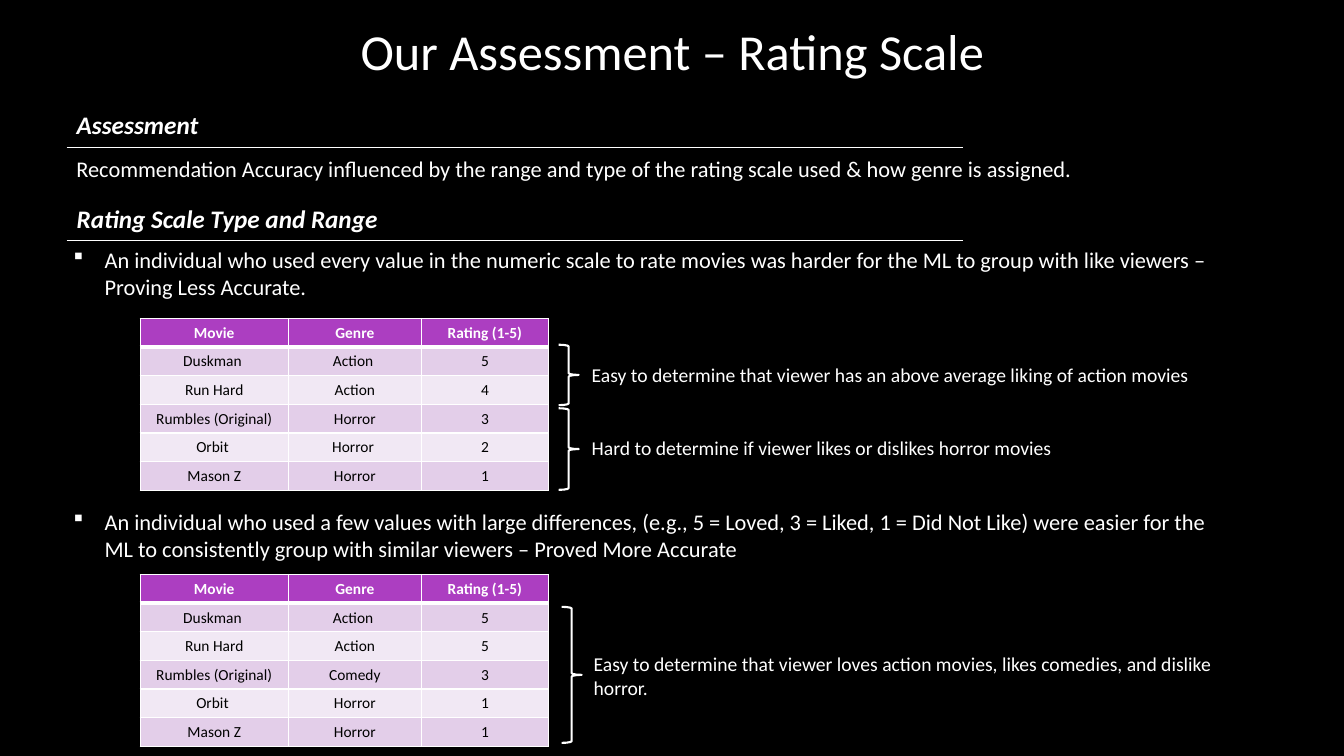
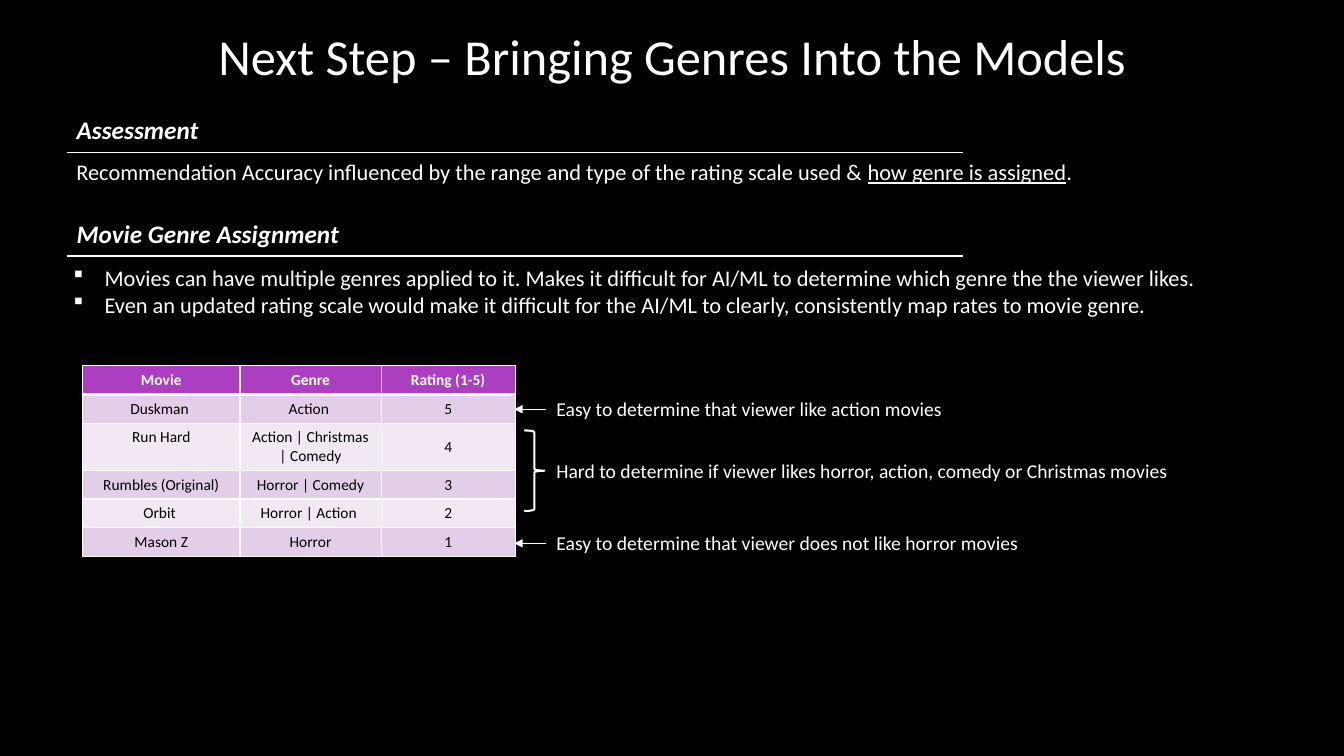
from lxml import etree
from pptx import Presentation
from pptx.dml.color import RGBColor
from pptx.enum.shapes import MSO_CONNECTOR, MSO_SHAPE
from pptx.enum.text import MSO_ANCHOR, PP_ALIGN
from pptx.oxml.ns import qn
from pptx.util import Inches, Pt

BLACK = RGBColor(0x00, 0x00, 0x00)
WHITE = RGBColor(0xFF, 0xFF, 0xFF)
PURPLE = RGBColor(0xAC, 0x3E, 0xC1)
LILAC = RGBColor(0xE3, 0xCE, 0xE9)
PALE_LILAC = RGBColor(0xF1, 0xE8, 0xF4)

FONT = "Calibri"
LEFT, CENTER = PP_ALIGN.LEFT, PP_ALIGN.CENTER
MIDDLE = MSO_ANCHOR.MIDDLE
STRAIGHT, RIGHT_BRACE = MSO_CONNECTOR.STRAIGHT, MSO_SHAPE.RIGHT_BRACE

HEADER = ("Movie", "Genre", "Rating (1-5)")
MOVIES = ("Duskman ", "Run Hard", "Rumbles (Original)", "Orbit ", "Mason Z")
ROW_HEIGHT = 0.28
ACCURACY = "Recommendation Accuracy influenced by the range and type of the rating scale used & "

# Content: positions in inches
SLIDES = [
    {
        "title": ("Our Assessment – Rating Scale", 0.15),
        "headings": [("Assessment", 1.05), ("Rating Scale Type and Range", 1.98)],
        "summary": (1.49, False),
        "bullets": [
            (2.39, ["An individual who used every value in the numeric scale to rate movies was harder "
                    "for the ML to group with like viewers – Proving Less Accurate."]),
            (4.99, ["An individual who used a few values with large differences, (e.g., 5 = Loved, "
                    "3 = Liked, 1 = Did Not Like) were easier for the ML to consistently group with "
                    "similar viewers – Proved More Accurate"]),
        ],
        "tables": [
            (1.39, 3.16, (1.47, 1.32, 1.26), {},
             ("Action ", "Action", "Horror", "Horror ", "Horror"), (5, 4, 3, 2, 1)),
            (1.39, 5.7, (1.47, 1.32, 1.26), {},
             ("Action ", "Action", "Comedy", "Horror", "Horror"), (5, 5, 3, 1, 1)),
        ],
        "braces": [(5.54, 3.42, 0.6), (5.54, 4.05, 0.81), (5.57, 6.02, 1.35)],
        "arrows": [],
        "notes": [
            (5.77, 3.55, 0.34, "Easy to determine that viewer has an above average liking of action movies"),
            (5.77, 4.28, 0.34, "Hard to determine if viewer likes or dislikes horror movies"),
            (5.79, 6.42, 0.57, "Easy to determine that viewer loves action movies, likes comedies, "
                               "and dislike horror."),
        ],
    },
    {
        "title": ("Next Step – Bringing Genres Into the Models", 0.2),
        "headings": [("Assessment", 1.1), ("Movie Genre Assignment", 2.13)],
        "summary": (1.52, True),
        "bullets": [
            (2.57, ["Movies can have multiple genres applied to it. Makes it difficult for AI/ML to "
                    "determine which genre the the viewer likes.",
                    "Even an updated rating scale would make it difficult for the AI/ML to clearly, "
                    "consistently map rates to movie genre."]),
        ],
        "tables": [
            (0.82, 3.63, (1.56, 1.4, 1.33), {2: 0.47},
             ("Action ", "Action | Christmas | Comedy", "Horror | Comedy", "Horror | Action ", "Horror"),
             (5, 4, 3, 2, 1)),
        ],
        "braces": [(5.2, 4.27, 0.8)],
        "arrows": [4.06, 5.39],
        "notes": [
            (5.42, 3.89, 0.34, "Easy to determine that viewer like action movies"),
            (5.42, 4.5, 0.34, "Hard to determine if viewer likes horror, action, comedy or Christmas movies"),
            (5.42, 5.22, 0.34, "Easy to determine that viewer does not like horror movies"),
        ],
    },
]


def add_text(slide, left, top, width, height, lines, size, alignment=LEFT):
    box = slide.shapes.add_textbox(Inches(left), Inches(top), Inches(width), Inches(height))
    box.text_frame.word_wrap = True
    box.text_frame.text = "\n".join(lines)
    for paragraph in box.text_frame.paragraphs:
        paragraph.alignment = alignment
        for run in paragraph.runs:
            run.font.size = Pt(size)
            run.font.name = FONT
            run.font.color.rgb = WHITE
    return box.text_frame.paragraphs


def fill_cell(cell, text, size, color, bold, borders, fill=None):
    """Borders give the widths of the left, right, top and bottom line; 0 is none."""
    cell.text = text
    font = cell.text_frame.paragraphs[0].runs[0].font
    font.name = FONT
    font.size = Pt(size)
    font.bold = bold
    font.color.rgb = color
    # Borders come before the fill in the cell properties
    properties = cell._tc.get_or_add_tcPr()
    for side, width in zip(("lnL", "lnR", "lnT", "lnB"), borders):
        border = etree.SubElement(properties, qn("a:" + side), w=str(Pt(width)))
        if width:
            border_fill = etree.SubElement(border, qn("a:solidFill"))
            etree.SubElement(border_fill, qn("a:srgbClr"), val=str(WHITE))
        else:
            etree.SubElement(border, qn("a:noFill"))
    if fill is None:
        cell.fill.background()
    else:
        cell.fill.solid()
        cell.fill.fore_color.rgb = fill
    return cell.text_frame.paragraphs[0]


presentation = Presentation()
presentation.slide_width = Inches(13.33)
presentation.slide_height = Inches(7.5)
background = presentation.slide_master.background.fill
background.solid()
background.fore_color.rgb = BLACK

for content in SLIDES:
    slide = presentation.slides.add_slide(presentation.slide_layouts[6])

    # Title
    title, top = content["title"]
    add_text(slide, 0.98, top, 11.38, 0.71, [title], 36, CENTER)

    # Section headings: one-cell tables with a bottom rule
    for heading, top in content["headings"]:
        table = slide.shapes.add_table(
            1, 1, Inches(0.66), Inches(top), Inches(8.89), Inches(0.41)).table
        table.first_row = False
        table.horz_banding = False
        paragraph = fill_cell(table.cell(0, 0), heading, 18, WHITE, True, (0, 0, 0, 1))
        paragraph.runs[0].font.italic = True

    # Summary sentence
    top, underlined = content["summary"]
    paragraph = add_text(slide, 0.66, top, 10.14, 0.64, [ACCURACY], 16)[0]
    for text, underline in (("how genre is assigned", underlined), (".", False)):
        run = paragraph.add_run()
        run.text = text
        run.font.size = Pt(16)
        run.font.name = FONT
        run.font.color.rgb = WHITE
        run.font.underline = underline

    # Bulleted findings
    for top, lines in content["bullets"]:
        for paragraph in add_text(slide, 0.63, top, 11.47, 0.64, lines, 16):
            properties = paragraph._p.get_or_add_pPr()
            properties.set("marL", str(Inches(0.31)))
            properties.set("indent", str(-Inches(0.31)))
            etree.SubElement(properties, qn("a:buFont"), typeface="Wingdings")
            etree.SubElement(properties, qn("a:buChar"), char="§")

    # Rating tables
    for left, top, column_widths, tall_rows, genres, ratings in content["tables"]:
        rows = [HEADER, *zip(MOVIES, genres, ratings)]
        heights = [tall_rows.get(index, ROW_HEIGHT) for index in range(len(rows))]
        table = slide.shapes.add_table(
            len(rows), len(HEADER), Inches(left), Inches(top),
            Inches(sum(column_widths)), Inches(sum(heights))).table
        for column, width in zip(table.columns, column_widths):
            column.width = Inches(width)
        for row_index, values in enumerate(rows):
            table.rows[row_index].height = Inches(heights[row_index])
            is_header = row_index == 0
            band = LILAC if row_index % 2 else PALE_LILAC
            borders = (1, 1, 3 if row_index == 1 else 1, 3 if is_header else 1)
            for column_index, value in enumerate(values):
                cell = table.cell(row_index, column_index)
                paragraph = fill_cell(
                    cell, str(value), 11, WHITE if is_header else BLACK, is_header,
                    borders, PURPLE if is_header else band)
                paragraph.alignment = CENTER
            # Ratings stay centred beside a two-line genre
            cell.vertical_anchor = MIDDLE

    # Braces and arrows that tie notes to table rows
    for left, top, height in content["braces"]:
        brace = slide.shapes.add_shape(
            RIGHT_BRACE, Inches(left), Inches(top), Inches(0.2), Inches(height))
        brace.shadow.inherit = False
        brace.fill.background()
        brace.line.color.rgb = WHITE
        brace.line.width = Pt(1.5)
    for y in content["arrows"]:
        arrow = slide.shapes.add_connector(
            STRAIGHT, Inches(5.42), Inches(y), Inches(5.1), Inches(y))
        arrow.line.color.rgb = WHITE
        arrow.line.width = Pt(0.75)
        etree.SubElement(arrow.line._get_or_add_ln(), qn("a:tailEnd"), type="triangle")
        etree.SubElement(arrow._element.spPr, qn("a:effectLst"))

    # Notes beside the tables
    for left, top, height, note in content["notes"]:
        add_text(slide, left, top, 6.84, height, [note], 14)

presentation.save("out.pptx")
